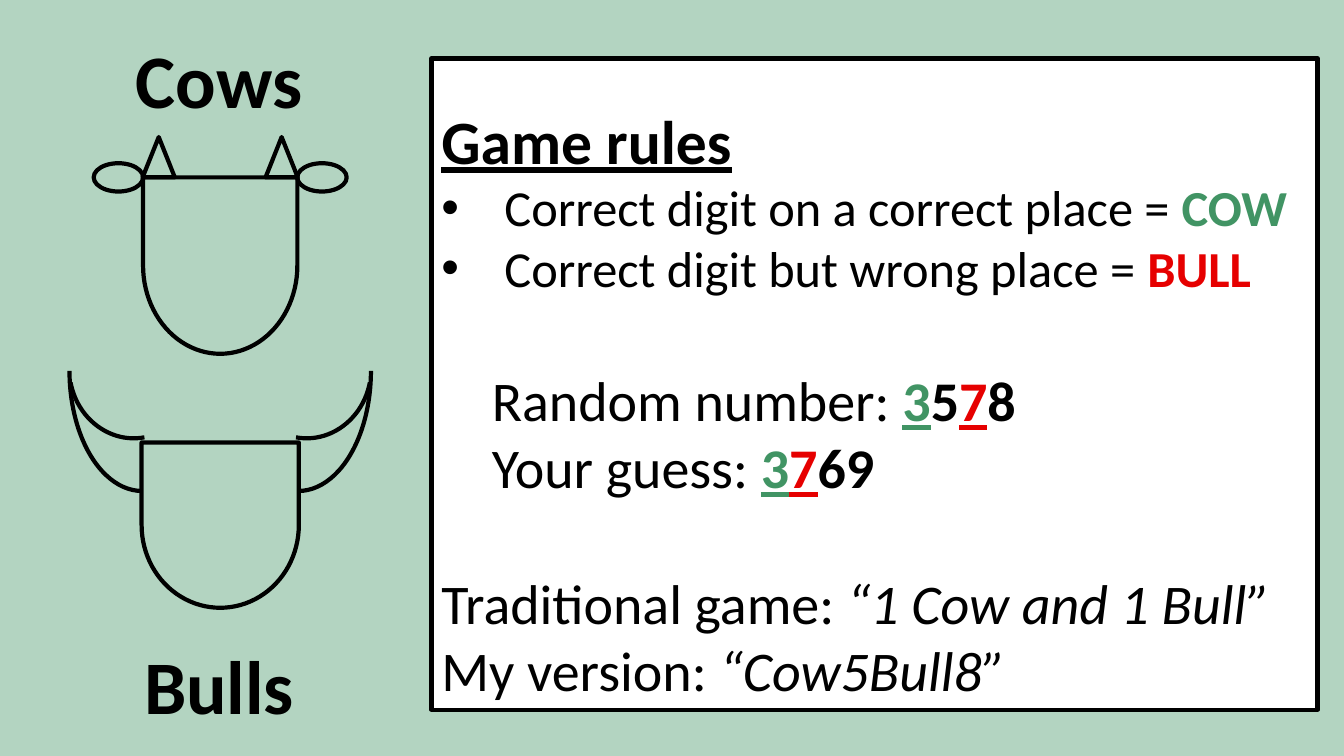
from lxml import etree
from pptx import Presentation
from pptx.dml.color import RGBColor
from pptx.enum.shapes import MSO_SHAPE
from pptx.enum.text import MSO_ANCHOR, PP_ALIGN
from pptx.oxml.ns import qn
from pptx.util import Pt

DELAY, OVAL, TRIANGLE, ARC, RECT = (
    MSO_SHAPE.FLOWCHART_DELAY, MSO_SHAPE.OVAL, MSO_SHAPE.ISOSCELES_TRIANGLE,
    MSO_SHAPE.ARC, MSO_SHAPE.RECTANGLE)
LEFT, CENTER, MIDDLE, TOP = PP_ALIGN.LEFT, PP_ALIGN.CENTER, MSO_ANCHOR.MIDDLE, MSO_ANCHOR.TOP

THEME = {
    "font": "Calibri", "line": 3,
    "background": "B3D4C1", "panel": "FFFFFF", "ink": "000000",
    "cow": "419464", "bull": "E60000",
    "title": 54, "heading": 44, "rule": 36, "body": 40,
}

# Run formats
PLAIN = {}
BOLD = {"bold": True}
ITALIC = {"italic": True}
HEADING = {"bold": True, "underline": True}
COW = {"bold": True, "color": "cow"}
BULL = {"bold": True, "color": "bull"}
COW_DIGIT = {**COW, "underline": True}
BULL_DIGIT = {**BULL, "underline": True}

# Content
TITLES = [("Cows", 20.2), ("Bulls", 452.9)]  # wording, top
GAP = {"space_before": Pt(48.8)}  # one body line
# size, paragraph format, left indent, bullet, runs
RULES = [
    ("heading", {"line_spacing": 1.5}, 0, False, [("Game rules", HEADING)]),
    ("rule", {}, 45, True, [("Correct digit on a correct place = ", PLAIN), ("COW", COW)]),
    ("rule", {}, 45, True, [("Correct digit but wrong place = ", PLAIN), ("BULL", BULL)]),
    ("body", {"level": 1, **GAP}, 36, False,
     [("Random number: ", PLAIN), ("3", COW_DIGIT), ("5", BOLD), ("7", BULL_DIGIT), ("8", BOLD)]),
    ("body", {"level": 1}, 36, False,
     [("Your guess: ", PLAIN), ("3", COW_DIGIT), ("7", BULL_DIGIT), ("69", BOLD)]),
    ("body", GAP, 0, False, [("Traditional game: ", PLAIN), ("“1 Cow and 1 Bull”", ITALIC)]),
    ("body", {}, 0, False, [("My version: ", PLAIN), ("“Cow5Bull8”", ITALIC)]),
]

# Faces: kind, distance from the axis, centre height, width, height, rotation
AXIS = 157.3
COW_FACE = [
    (DELAY, 0, 189.7, 126, 110.2, 90),      # head
    (OVAL, 72.7, 126.7, 35.3, 20.2, 0),     # ears
    (TRIANGLE, 43.9, 112.3, 23, 28.8, 0),   # horns
]
BULL_FACE = [
    (DELAY, 0, 375.1, 118.1, 112.3, 90),    # head
    (ARC, 55.8, 265, 171.4, 103.7, 90),     # outer horn edges
    (ARC, 63, 265, 96.5, 89.3, 100.6),      # inner horn edges
]


def color(key):
    return RGBColor.from_string(THEME[key])


def outlined(shapes, kind, left, top, width, height):
    part = shapes.add_shape(kind, Pt(left), Pt(top), Pt(width), Pt(height))
    part.shadow.inherit = False
    part.fill.background()
    part.line.color.rgb = color("ink")
    part.line.width = Pt(THEME["line"])
    return part


def draw_face(shapes, parts):
    face = shapes.add_group_shape()
    for kind, offset, middle, width, height, turn in parts:
        for side in (1, -1) if offset else (1,):
            part = outlined(face.shapes, kind, AXIS + side * offset - width / 2,
                            middle - height / 2, width, height)
            part.rotation = side * turn % 360
            if side < 0:
                part._element.spPr.get_or_add_xfrm().set("flipH", "1")


def write_runs(paragraph, size, runs):
    for words, formats in runs:
        run = paragraph.add_run()
        run.text = words
        look = {"name": THEME["font"], "size": Pt(THEME[size]), **formats}
        run.font.color.rgb = color(look.pop("color", "ink"))
        for key, value in look.items():
            setattr(run.font, key, value)


def set_indent(paragraph, indent, bullet):
    props = paragraph._p.get_or_add_pPr()
    props.set("marL", str(Pt(indent)))
    props.set("indent", str(-Pt(indent) if bullet else 0))
    if bullet:
        etree.SubElement(props, qn("a:buFont")).set("typeface", "Arial")
        etree.SubElement(props, qn("a:buChar")).set("char", "•")


deck = Presentation()
deck.slide_width, deck.slide_height = Pt(960), Pt(540)
slide = deck.slides.add_slide(deck.slide_layouts[6])
slide.background.fill.solid()
slide.background.fill.fore_color.rgb = color("background")

# Animal faces
for face_parts in (COW_FACE, BULL_FACE):
    draw_face(slide.shapes, face_parts)

# Titles
for words, top in TITLES:
    title = slide.shapes.add_textbox(Pt(41), Pt(top), Pt(231.1), Pt(72.7)).text_frame
    title.word_wrap, title.vertical_anchor = True, TOP
    title.paragraphs[0].alignment = CENTER
    write_runs(title.paragraphs[0], "title", [(words, BOLD)])

# Rules panel
panel = outlined(slide.shapes, RECT, 308.2, 41.8, 632.9, 465.1)
panel.fill.solid()
panel.fill.fore_color.rgb = color("panel")
rules = panel.text_frame
rules.word_wrap, rules.vertical_anchor = True, MIDDLE
for index, (size, formats, indent, bullet, runs) in enumerate(RULES):
    paragraph = rules.add_paragraph() if index else rules.paragraphs[0]
    for key, value in {"alignment": LEFT, **formats}.items():
        setattr(paragraph, key, value)
    set_indent(paragraph, indent, bullet)
    write_runs(paragraph, size, runs)

deck.save("out.pptx")
